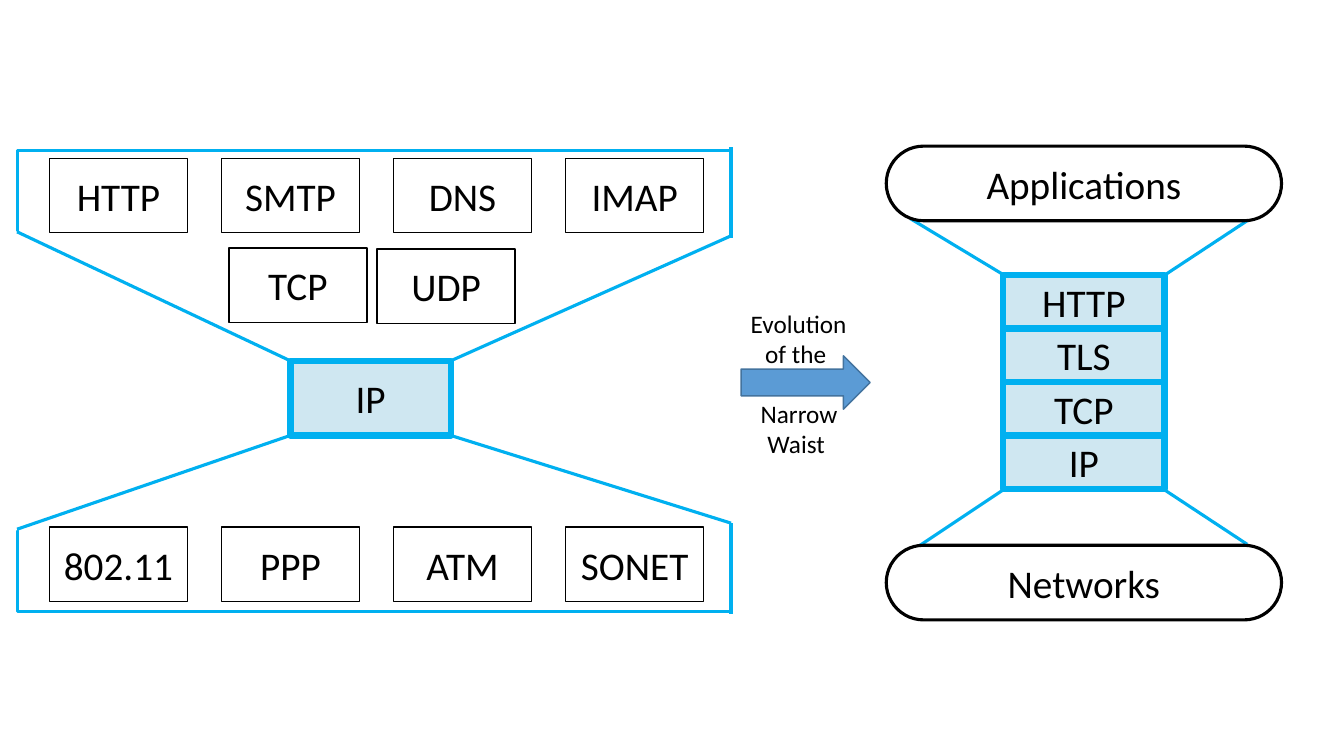
from dataclasses import dataclass

from lxml.etree import SubElement
from pptx import Presentation
from pptx.dml.color import RGBColor
from pptx.enum.shapes import MSO_CONNECTOR as Conn, MSO_SHAPE as Geom
from pptx.enum.text import MSO_ANCHOR as Anchor, MSO_AUTO_SIZE as AutoSize, PP_ALIGN as Align
from pptx.oxml.ns import qn
from pptx.util import Inches, Pt

COLORS = {"black": "000000", "white": "FFFFFF", "blue": "00B0F0",
          "pale": "CFE7F1", "arrow": "5B9BD5", "arrow_edge": "43739E"}
FONT = "Calibri"


@dataclass(frozen=True)
class Style:
    geom: Geom
    fill: str
    line: str
    weight: float


@dataclass(frozen=True)
class Box:
    text: str
    left: float
    top: float
    width: float
    height: float
    style: Style


@dataclass(frozen=True)
class Line:
    x1: float
    y1: float
    x2: float
    y2: float
    bent: bool = False


PROTOCOL = Style(Geom.RECTANGLE, "white", "black", 1)
WAIST = Style(Geom.RECTANGLE, "pale", "blue", 4.5)
PILL = Style(Geom.ROUNDED_RECTANGLE, "white", "black", 2.25)
ARROW = Style(Geom.RIGHT_ARROW, "arrow", "arrow_edge", 1)

CARD_W, CARD_H = 1.37, 0.74
FIRST_COL, LAST_COL = 0.49, 5.61
STACK_LEFT, STACK_TOP, STACK_W, LAYER_H = 9.95, 2.73, 1.6, 0.53
STACK = ["HTTP", "TLS", "TCP", "IP"]
ROWS = {1.57: ["HTTP", "SMTP", "DNS", "IMAP"],
        5.23: ["802.11", "PPP", "ATM", "SONET"]}

LINES = [
    # left hourglass
    Line(2.88, 3.58, 0.17, 2.3),
    Line(4.47, 3.58, 7.25, 2.34),
    Line(2.88, 4.32, 0.17, 5.25),
    Line(4.47, 4.32, 7.25, 5.19),
    Line(0.17, 2.3, 7.25, 1.49, bent=True),
    Line(7.25, 2.36, 7.25, 1.46),
    Line(0.17, 5.26, 7.25, 6.07, bent=True),
    Line(7.25, 6.09, 7.25, 5.19),
    # right hourglass
    Line(9.96, 2.73, 9.03, 2.17),
    Line(11.55, 2.73, 12.37, 2.19),
    Line(9.95, 4.86, 8.84, 5.6),
    Line(11.55, 4.86, 12.37, 5.4),
]


def rgb(name: str) -> RGBColor:
    return RGBColor.from_string(COLORS[name])


def write(tf, text: str, *, size: float = 28, color: str = "black",
          align: Align = Align.CENTER, anchor: Anchor = Anchor.MIDDLE,
          wrap: bool = True) -> None:
    """Fill a text frame, one paragraph for each line of text."""
    tf.word_wrap = wrap
    tf.vertical_anchor = anchor
    for i, line in enumerate(text.split("\n")):
        p = tf.add_paragraph() if i else tf.paragraphs[0]
        p.alignment = align
        r = p.add_run()
        r.text = line
        r.font.name = FONT
        r.font.size = Pt(size)
        r.font.color.rgb = rgb(color)


def add_box(slide, box: Box) -> None:
    sp = slide.shapes.add_shape(box.style.geom, Inches(box.left), Inches(box.top),
                                Inches(box.width), Inches(box.height))
    sp.shadow.inherit = False
    sp.fill.solid()
    sp.fill.fore_color.rgb = rgb(box.style.fill)
    sp.line.color.rgb = rgb(box.style.line)
    sp.line.width = Pt(box.style.weight)
    if box.style is PILL:
        sp.adjustments[0] = 0.5
    if box.text:
        write(sp.text_frame, box.text)


def add_line(slide, line: Line) -> None:
    """Draw a straight line, or a corner that rises or falls before it runs across."""
    cxn = slide.shapes.add_connector(
        Conn.ELBOW if line.bent else Conn.STRAIGHT,
        Inches(line.x1), Inches(line.y1), Inches(line.x2), Inches(line.y2))
    cxn.line.color.rgb = rgb("blue")
    cxn.line.width = Pt(2.25)
    sp_pr = cxn._element.spPr
    SubElement(sp_pr, qn("a:effectLst"))
    if line.bent:
        guides = sp_pr.find(qn("a:prstGeom")).find(qn("a:avLst"))
        SubElement(guides, qn("a:gd"), name="adj1", fmla="val 100")


def add_caption(slide, text: str, left: float, top: float, width: float) -> None:
    tf = slide.shapes.add_textbox(Inches(left), Inches(top),
                                  Inches(width), Inches(0.71)).text_frame
    write(tf, text, size=18, anchor=Anchor.TOP, wrap=False)
    tf.auto_size = AutoSize.SHAPE_TO_FIT_TEXT


def main() -> None:
    prs = Presentation()
    prs.slide_width, prs.slide_height = Inches(13.33), Inches(7.5)
    slide = prs.slides.add_slide(prs.slide_layouts[6])

    for line in LINES:
        add_line(slide, line)

    boxes = [Box("IP", 2.88, 3.58, 1.59, CARD_H, WAIST),
             Box("TCP", 2.27, 2.46, CARD_W, CARD_H, PROTOCOL),
             Box("UDP", 3.74, 2.47, CARD_W, CARD_H, PROTOCOL)]
    for top, names in ROWS.items():
        pitch = (LAST_COL - FIRST_COL) / (len(names) - 1)
        boxes += [Box(name, FIRST_COL + i * pitch, top, CARD_W, CARD_H, PROTOCOL)
                  for i, name in enumerate(names)]
    boxes += [Box(name, STACK_LEFT, STACK_TOP + i * LAYER_H, STACK_W, LAYER_H, WAIST)
              for i, name in reversed(list(enumerate(STACK)))]
    boxes += [Box("Networks", 8.79, 5.41, 3.92, CARD_H, PILL),
              Box("Applications", 8.79, 1.45, 3.92, CARD_H, PILL),
              Box("", 7.35, 3.53, 1.28, 0.53, ARROW)]
    for box in boxes:
        add_box(slide, box)

    add_caption(slide, "Evolution\nof the ", 7.34, 3.01, 1.16)
    add_caption(slide, "Narrow\nWaist ", 7.44, 3.9, 0.97)
    prs.save("out.pptx")


if __name__ == "__main__":
    main()
